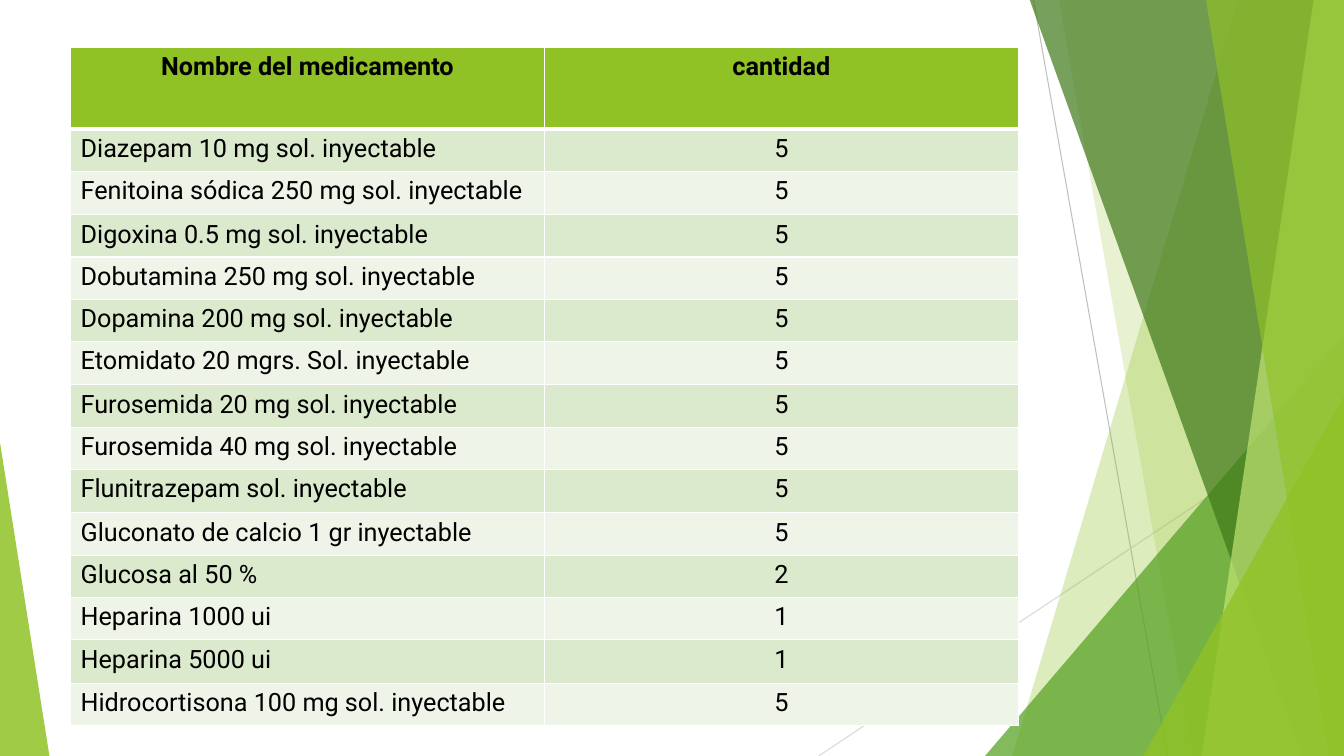
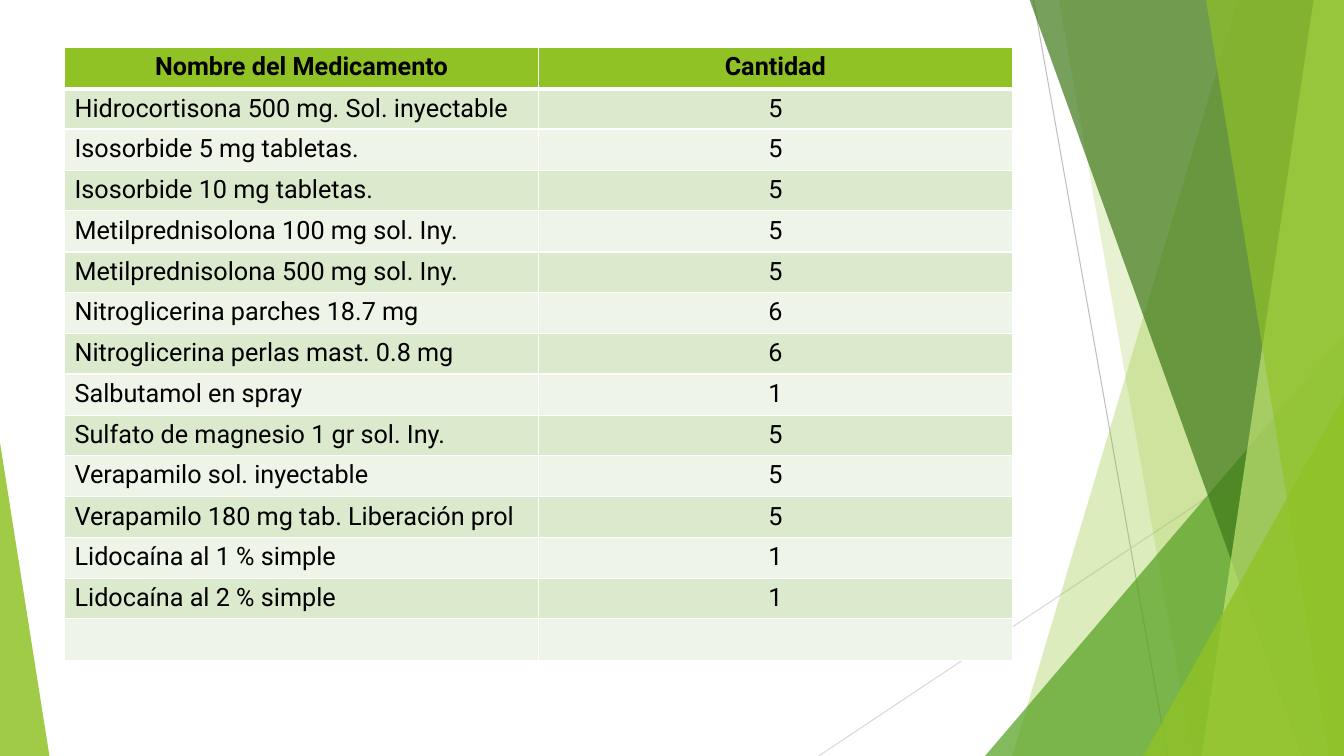
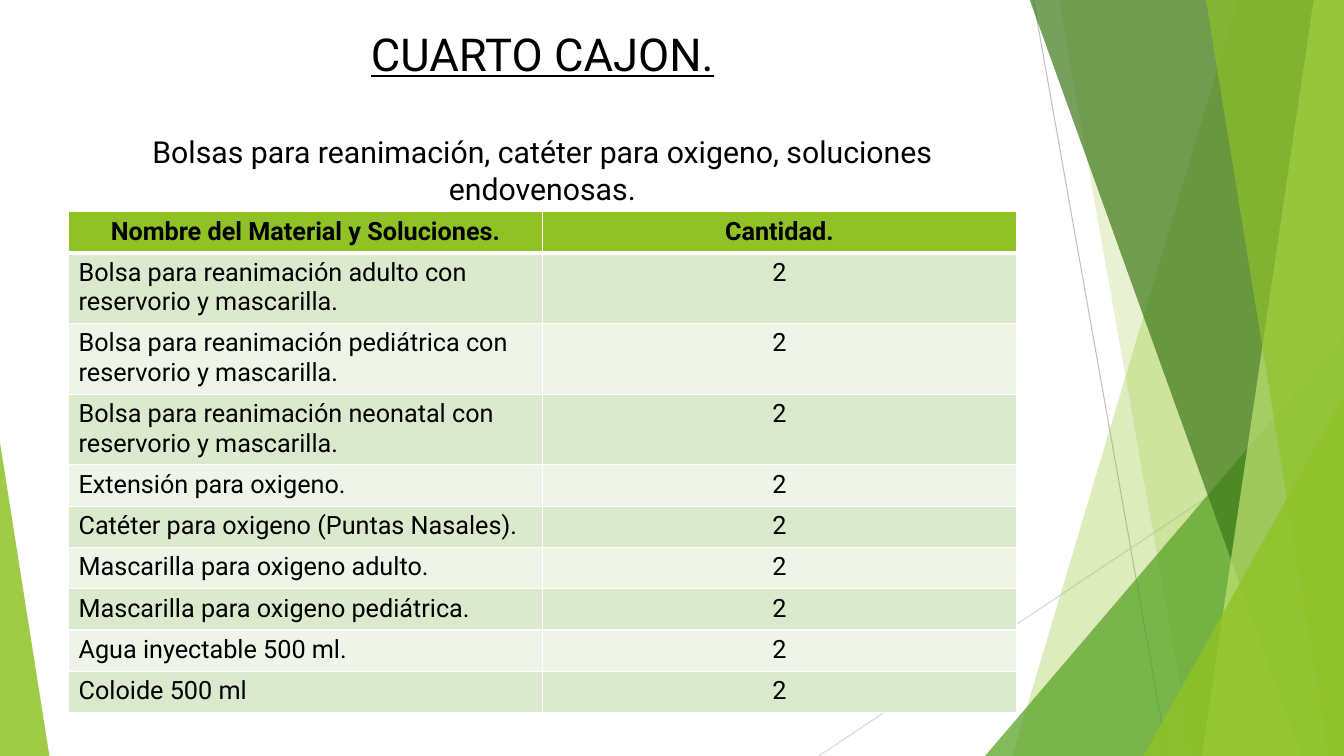
from lxml.etree import SubElement
from pptx import Presentation
from pptx.dml.color import RGBColor
from pptx.enum.shapes import MSO_CONNECTOR as CONN, MSO_SHAPE as SHAPE
from pptx.enum.text import MSO_ANCHOR as ANCHOR, PP_ALIGN as ALIGN
from pptx.oxml.ns import qn
from pptx.util import Pt

PX = 9144
WIDTH, HEIGHT = 1333, 750
FONT = "Roboto"
BLACK, WHITE = "000000", "FFFFFF"
GREEN, LEAF, FOREST, LIME = "90C226", "54A021", "3F7819", "C0E474"
ODD_ROW, EVEN_ROW = "DBE9CD", "EEF4E8"

LINES = [((1025, 0), (1158, 750), "BFBFBF"), ((1333, 403), (812, 750), "D9D9D9")]
FACETS = [
    ("band", (1228, 1004), GREEN, 30),
    ("band", (1050, 1183), GREEN, 20),
    ("right", (356, 417), LEAF, 72),
    ("band", (1021, 1291), FOREST, 70),
    ("band", (1303, 1192), LIME, 70),
    ("band", (1196, 1318), GREEN, 65),
    ("right", (199, 357), GREEN, 80),
    ("left", (49, 311), GREEN, 85),
]

FIRST_DRUGS = [
    ("Nombre del medicamento", "cantidad"),
    ("Diazepam 10 mg sol. inyectable", "5"),
    ("Fenitoina sódica 250 mg sol. inyectable", "5"),
    ("Digoxina 0.5 mg sol. inyectable", "5"),
    ("Dobutamina 250 mg sol. inyectable", "5"),
    ("Dopamina 200 mg sol. inyectable", "5"),
    ("Etomidato 20 mgrs. Sol. inyectable", "5"),
    ("Furosemida 20 mg sol. inyectable", "5"),
    ("Furosemida 40 mg sol. inyectable", "5"),
    ("Flunitrazepam sol. inyectable", "5"),
    ("Gluconato de calcio 1 gr inyectable", "5"),
    ("Glucosa al 50 %", "2"),
    ("Heparina 1000 ui", "1"),
    ("Heparina 5000 ui", "1"),
    ("Hidrocortisona 100 mg sol. inyectable", "5"),
]
MORE_DRUGS = [
    ("Nombre del Medicamento", "Cantidad"),
    ("Hidrocortisona 500 mg. Sol. inyectable", "5"),
    ("Isosorbide 5 mg tabletas.", "5"),
    ("Isosorbide 10 mg tabletas.", "5"),
    ("Metilprednisolona 100 mg sol. Iny.", "5"),
    ("Metilprednisolona 500 mg sol. Iny.", "5"),
    ("Nitroglicerina parches 18.7 mg", "6"),
    ("Nitroglicerina perlas mast. 0.8 mg", "6"),
    ("Salbutamol en spray", "1"),
    ("Sulfato de magnesio 1 gr sol. Iny.", "5"),
    ("Verapamilo sol. inyectable", "5"),
    ("Verapamilo 180 mg tab. Liberación prol", "5"),
    ("Lidocaína al 1 % simple", "1"),
    ("Lidocaína al 2 % simple", "1"),
    ("", ""),
]
SUPPLIES = [
    ("Nombre del Material y Soluciones.", "Cantidad."),
    ("Bolsa para reanimación adulto con reservorio y mascarilla.", "2"),
    ("Bolsa para reanimación pediátrica con reservorio y mascarilla.", "2"),
    ("Bolsa para reanimación neonatal con reservorio y mascarilla.", "2"),
    ("Extensión para oxigeno.", "2"),
    ("Catéter para oxigeno (Puntas Nasales).", "2"),
    ("Mascarilla para oxigeno adulto.", "2"),
    ("Mascarilla para oxigeno pediátrica.", "2"),
    ("Agua inyectable 500 ml.", "2"),
    ("Coloide 500 ml", "2"),
]


def px(*lengths):
    """Turn px lengths into EMU."""
    return [n * PX for n in lengths]


def rgb(color):
    """Turn a hex string into a colour."""
    return RGBColor.from_string(color)


def spread(total, count):
    """Split a length into near-equal whole parts."""
    edges = [round(total * i / count) for i in range(count + 1)]
    return [b - a for a, b in zip(edges, edges[1:])]


def set_text(p, text, size, align, bold=False, underline=False):
    """Write one paragraph in the shared font."""
    p.text = text
    p.alignment = align
    p.font.name = FONT
    p.font.size = Pt(size)
    p.font.bold = bold
    p.font.underline = underline
    p.font.color.rgb = rgb(BLACK)


def paint(sp, color, opacity):
    """Give a shape a translucent fill without line or shadow."""
    sp.shadow.inherit = False
    sp.line.fill.background()
    sp.fill.solid()
    sp.fill.fore_color.rgb = rgb(color)
    clr = sp.element.spPr.find(".//" + qn("a:srgbClr"))
    SubElement(clr, qn("a:alpha"), val=str(opacity * 1000))


def add_backdrop(shapes, x, y, w, h):
    """Draw the thin lines and green facets in one group."""
    group = shapes.add_group_shape()
    for (x1, y1), (x2, y2), color in LINES:
        line = group.shapes.add_connector(
            CONN.STRAIGHT, *px(x + x1, y + y1, x + x2, y + y2))
        line.line.color.rgb = rgb(color)
        line.line.width = Pt(0.75)
        SubElement(line.element.spPr, qn("a:effectLst"))
    for kind, (a, b), color, opacity in FACETS:
        if kind == "band":
            outline = group.shapes.build_freeform(x + a, y - 1, scale=PX)
            outline.add_line_segments(
                [(x + w, y - 1), (x + w, y + h), (x + b, y + h)], close=True)
            sp = outline.convert_to_shape()
        else:
            left = x + w - a if kind == "right" else x
            sp = group.shapes.add_shape(
                SHAPE.ISOSCELES_TRIANGLE, *px(left, y + h - b, a, b))
            sp.adjustments[0] = 1 if kind == "right" else 0
        paint(sp, color, opacity)
    return group


def add_title(slide, x, y, w, h, title, subtitle):
    """Place an underlined title above a centred subtitle."""
    tf = slide.shapes.add_textbox(*px(x, y, w, h)).text_frame
    tf.word_wrap = True
    tf.vertical_anchor = ANCHOR.TOP
    set_text(tf.paragraphs[0], title, 32.4, ALIGN.CENTER, underline=True)
    p = tf.add_paragraph()
    set_text(p, subtitle, 21.6, ALIGN.CENTER)
    p.space_before = Pt(38)


def add_borders(cell, **widths):
    """Draw white cell borders of the given point widths."""
    tc_pr = cell._tc.get_or_add_tcPr()
    for side, width in widths.items():
        ln = SubElement(tc_pr, qn("a:ln" + side), w=str(Pt(width)))
        SubElement(SubElement(ln, qn("a:solidFill")), qn("a:srgbClr"), val=WHITE)


def add_inventory(slide, x, y, w, heights, rows):
    """Place a two-column table of names and quantities."""
    frame = slide.shapes.add_table(len(rows), 2, *px(x, y, w, sum(heights)))
    table = frame.table
    for column in table.columns:
        column.width = w * PX // 2
    for i, (row, height) in enumerate(zip(rows, heights)):
        table.rows[i].height = height * PX
        header = i == 0
        fill = GREEN if header else ODD_ROW if i % 2 else EVEN_ROW
        for j, text in enumerate(row):
            cell = table.cell(i, j)
            add_borders(cell, L=1, R=1, T=3 if i == 1 else 1, B=3 if header else 1)
            cell.fill.solid()
            cell.fill.fore_color.rgb = rgb(fill)
            align = ALIGN.CENTER if header or j else ALIGN.LEFT
            set_text(cell.text_frame.paragraphs[0], text, 18, align, bold=header)


def main():
    """Build and save the three slides."""
    prs = Presentation()
    prs.slide_width, prs.slide_height = px(WIDTH, HEIGHT)
    blank = prs.slide_layouts[6]
    first, second, third = [prs.slides.add_slide(blank) for _ in range(3)]

    backdrop = add_backdrop(first.shapes, 0, 0, WIDTH, HEIGHT)
    blank.shapes.element.append(backdrop.element)

    add_inventory(first, 70, 47, 940, [81] + spread(592, 14), FIRST_DRUGS)
    add_inventory(second, 64, 47, 940, spread(608, 15), MORE_DRUGS)
    add_title(third, 68, 21, 940, 150, "CUARTO CAJON.",
              "Bolsas para reanimación, catéter para oxigeno, soluciones endovenosas.")
    add_inventory(third, 68, 210, 940, [41] + [69] * 3 + [41] * 6, SUPPLIES)
    prs.save("out.pptx")


if __name__ == "__main__":
    main()
